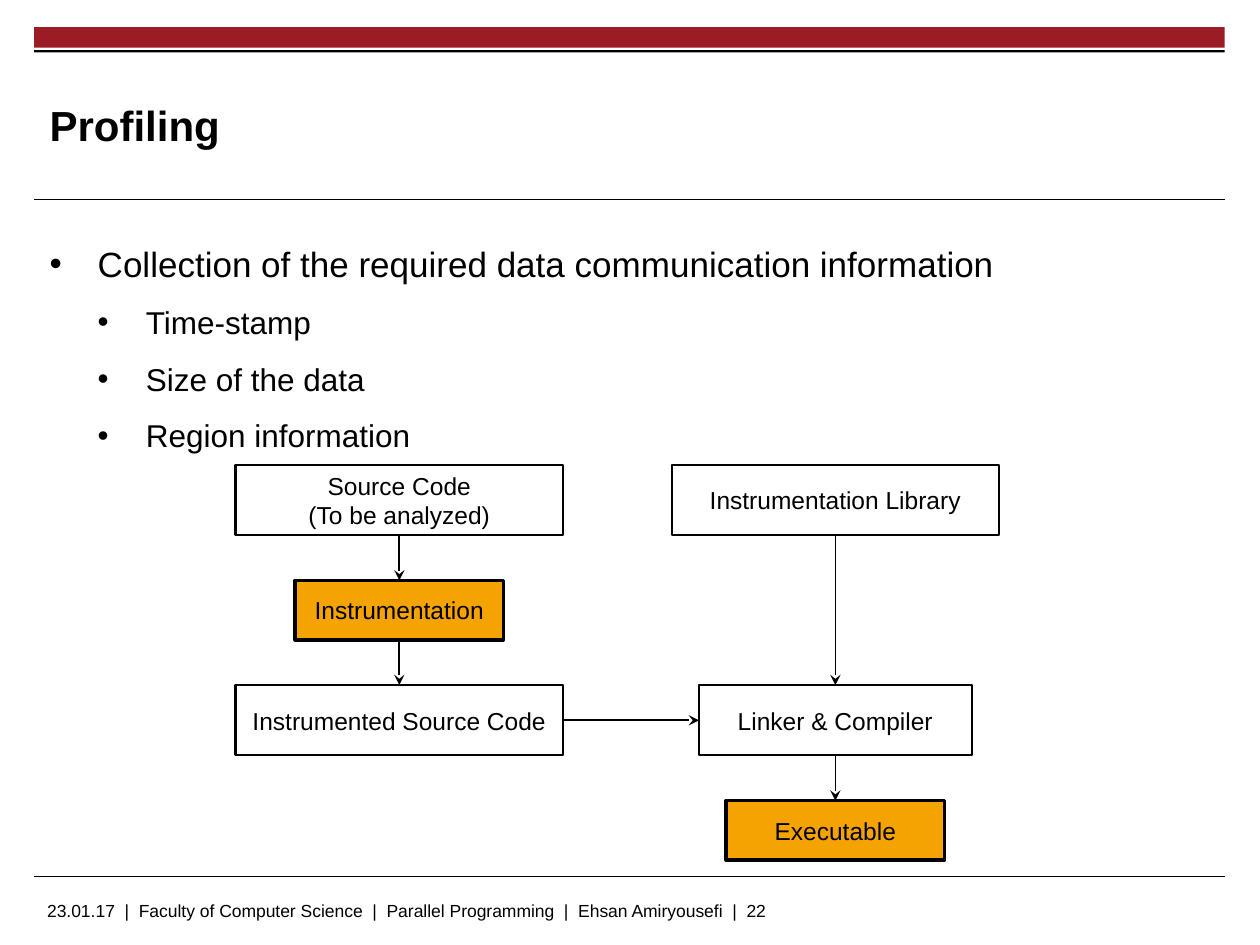
from lxml import etree
from pptx import Presentation
from pptx.dml.color import RGBColor
from pptx.enum.shapes import MSO_CONNECTOR, MSO_SHAPE
from pptx.enum.text import MSO_ANCHOR, MSO_AUTO_SIZE, PP_ALIGN
from pptx.oxml.ns import qn
from pptx.util import Cm, Pt

RECT, STRAIGHT = MSO_SHAPE.RECTANGLE, MSO_CONNECTOR.STRAIGHT
TOP, MIDDLE = MSO_ANCHOR.TOP, MSO_ANCHOR.MIDDLE
LEFT, CENTER = PP_ALIGN.LEFT, PP_ALIGN.CENTER
NO_FIT = MSO_AUTO_SIZE.NONE

# Content
TITLE = "Profiling"
BULLETS = [
    (0, "Collection of the required data communication information"),
    (1, "Time-stamp"),
    (1, "Size of the data"),
    (1, "Region information"),
]
FOOTER = ["23.01.17", "Faculty of Computer Science", "Parallel Programming",
          "Ehsan Amiryousefi", "22"]
# key: (lines, column, row, width in cm, style)
BOXES = {
    "source": (["Source Code", "(To be analyzed)"], 0, 0, 6.6, "plain"),
    "library": (["Instrumentation Library"], 1, 0, 6.6, "plain"),
    "instrument": (["Instrumentation"], 0, 1, 4.2, "accent"),
    "instrumented": (["Instrumented Source Code"], 0, 2, 6.6, "plain"),
    "linker": (["Linker & Compiler"], 1, 2, 5.5, "plain"),
    "executable": (["Executable"], 1, 3, 4.4, "accent"),
}
# from, side, to, side
ARROWS = [
    ("source", 2, "instrument", 0),
    ("instrument", 2, "instrumented", 0),
    ("library", 2, "linker", 0),
    ("instrumented", 3, "linker", 1),
    ("linker", 2, "executable", 0),
]

THEME = {
    "font": "Arial",
    "black": RGBColor(0x00, 0x00, 0x00),
    "red": RGBColor(0x9C, 0x1C, 0x26),
    "title": 24, "bullets": (20, 18), "box": 14, "footer": 10,
    "rule": 0.6, "arrow": 1,
    # fill, line width in pt, height in cm
    "plain": (RGBColor(0xFF, 0xFF, 0xFF), 1.25, 1.42),
    "accent": (RGBColor(0xF5, 0xA3, 0x00), 2, 1.2),
}

# Layout in cm
MARGIN, BAND_W = 0.69, 24
TEXT_X = 1
COLUMNS = (8.05, 16.84)
ROW_0, ROW_STEP = 10.08, 2.22
INDENT = 0.97


def set_font(p, size, bold=False):
    p.font.name, p.font.size, p.font.bold = THEME["font"], Pt(size), bold
    p.font.color.rgb = THEME["black"]


def set_frame(tf, anchor, insets):
    tf.word_wrap, tf.auto_size, tf.vertical_anchor = True, NO_FIT, anchor
    side, end = insets
    tf.margin_left = tf.margin_right = Cm(side)
    tf.margin_top = tf.margin_bottom = Cm(end)


def place(sp, x, y, w, h):
    sp.left, sp.top, sp.width, sp.height = Cm(x), Cm(y), Cm(w), Cm(h)


def add_rect(slide, x, y, w, h, fill):
    sp = slide.shapes.add_shape(RECT, Cm(x), Cm(y), Cm(w), Cm(h))
    sp.shadow.inherit = False
    sp.fill.solid()
    sp.fill.fore_color.rgb = fill
    sp.line.fill.background()
    return sp


def add_line(slide, x1, y1, x2, y2, width):
    line = slide.shapes.add_connector(STRAIGHT, Cm(x1), Cm(y1), Cm(x2), Cm(y2))
    line.line.color.rgb = THEME["black"]
    line.line.width = Pt(width)
    etree.SubElement(line._element.spPr, qn("a:effectLst"))
    return line


def add_box(slide, lines, column, row, width, style):
    fill, line_width, height = THEME[style]
    x = COLUMNS[column] - width / 2
    y = ROW_0 + row * ROW_STEP - height / 2
    sp = add_rect(slide, x, y, width, height, fill)
    sp.line.color.rgb = THEME["black"]
    sp.line.width = Pt(line_width)
    tf = sp.text_frame
    set_frame(tf, MIDDLE, (0.25, 0.13))
    tf.text = "\n".join(lines)
    for p in tf.paragraphs:
        p.alignment = CENTER
        set_font(p, THEME["box"])
    return sp


def add_arrow(slide, start, start_side, end, end_side):
    line = add_line(slide, 0, 0, 0, 0, THEME["arrow"])
    line.begin_connect(start, start_side)
    line.end_connect(end, end_side)
    etree.SubElement(line.line._get_or_add_ln(), qn("a:tailEnd"), type="stealth")


def add_bullet(p, level):
    p_pr = p._p.get_or_add_pPr()
    p_pr.set("marL", str(Cm(INDENT * (level + 1))))
    p_pr.set("indent", str(-Cm(INDENT)))
    etree.SubElement(p_pr, qn("a:buFont"), typeface=THEME["font"])
    etree.SubElement(p_pr, qn("a:buChar"), char="•")


def main():
    prs = Presentation()
    prs.slide_width, prs.slide_height = Cm(25.4), Cm(19.05)
    slide = prs.slides.add_slide(prs.slide_layouts[1])

    # Header band and rules
    add_rect(slide, MARGIN, 0.55, BAND_W, 0.41, THEME["red"])
    add_rect(slide, MARGIN, 1.01, BAND_W, 0.05, THEME["black"])
    for y in (4.03, 17.66):
        add_line(slide, MARGIN, y, MARGIN + BAND_W, y, THEME["rule"])

    # Footer
    sp = slide.shapes.add_textbox(Cm(0.7), Cm(18.03), Cm(20), Cm(0.64))
    set_frame(sp.text_frame, MIDDLE, (0.25, 0))
    p = sp.text_frame.paragraphs[0]
    p.text = "  |  ".join(FOOTER)
    set_font(p, THEME["footer"])

    # Title
    title = slide.shapes.title
    place(title, TEXT_X, 1.35, 18.44, 2.34)
    set_frame(title.text_frame, MIDDLE, (0, 0))
    p = title.text_frame.paragraphs[0]
    p.text, p.alignment = TITLE, LEFT
    set_font(p, THEME["title"], bold=True)

    # Bullet list
    body = slide.placeholders[1]
    place(body, TEXT_X, 4.5, 22.9, 12.83)
    tf = body.text_frame
    set_frame(tf, TOP, (0, 0.13))
    tf.text = "\n".join(text for _, text in BULLETS)
    for p, (level, _) in zip(tf.paragraphs, BULLETS):
        p.level = level
        p.line_spacing, p.space_before, p.space_after = 1.3, Pt(2), Pt(2.3)
        add_bullet(p, level)
        set_font(p, THEME["bullets"][level])

    # Flow chart
    boxes = {key: add_box(slide, *box) for key, box in BOXES.items()}
    for start, start_side, end, end_side in ARROWS:
        add_arrow(slide, boxes[start], start_side, boxes[end], end_side)

    prs.save("out.pptx")


if __name__ == "__main__":
    main()
